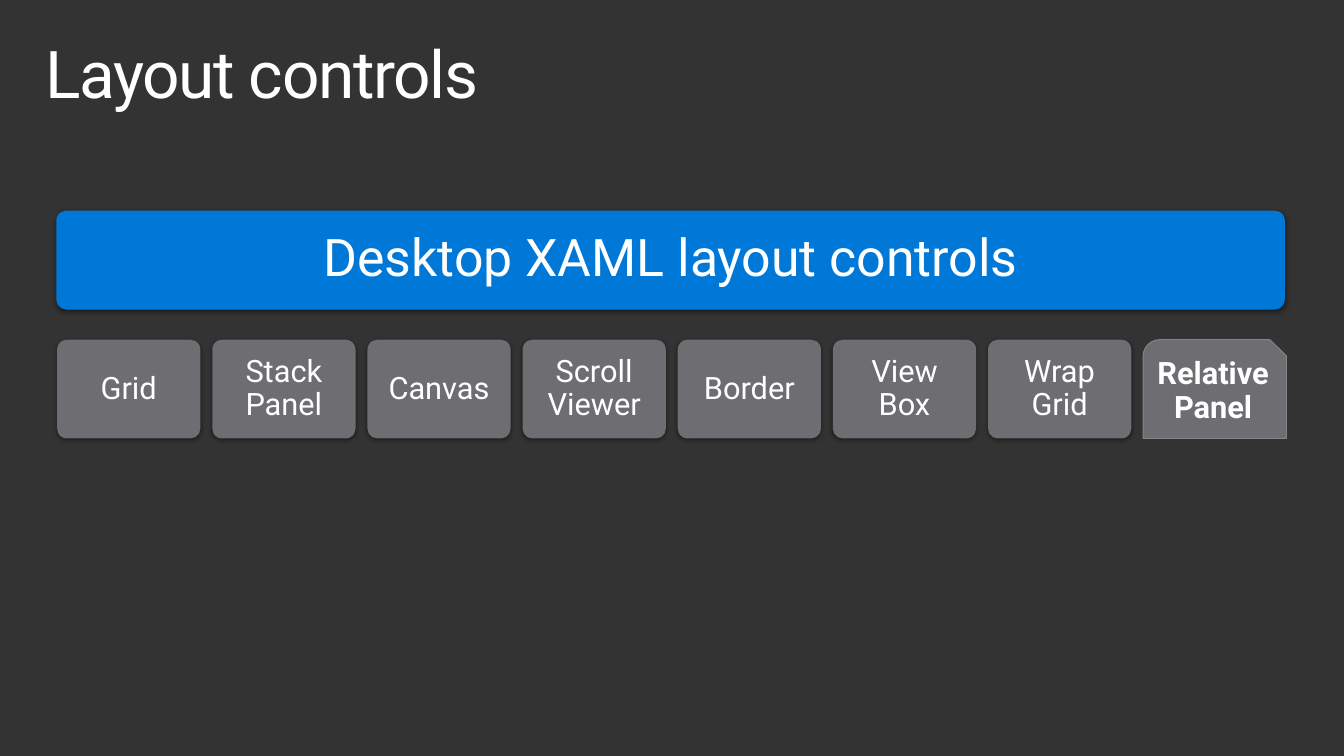
from dataclasses import dataclass

from lxml.etree import SubElement
from pptx import Presentation
from pptx.dml.color import RGBColor
from pptx.enum.shapes import MSO_SHAPE
from pptx.enum.text import MSO_ANCHOR, MSO_AUTO_SIZE, PP_ALIGN
from pptx.oxml.ns import qn
from pptx.util import Cm, Pt


@dataclass(frozen=True)
class Theme:
    font: str = "Roboto"
    back: str = "333333"
    text: str = "FFFFFF"
    blue: str = "0078D7"
    grey: str = "6E6D71"
    edge: str = "858585"
    shade: str = "000000"
    head: int = 47
    large: int = 37
    small: int = 22


class Deck:
    """Builds one slide from titles and labelled boxes in a shared theme."""

    def __init__(self, theme):
        self.theme = theme
        self.file = Presentation()
        self.file.slide_width, self.file.slide_height = Cm(33.87), Cm(19.05)
        self.slide = self.file.slides.add_slide(self.file.slide_layouts[5])
        fill = self.slide.background.fill
        fill.solid()
        fill.fore_color.rgb = RGBColor.from_string(theme.back)

    def label(self, shape, text, size, align, anchor, pad, bold=False):
        frame = shape.text_frame
        frame.text = text
        frame.word_wrap = True
        frame.auto_size = MSO_AUTO_SIZE.NONE
        frame.vertical_anchor = anchor
        frame.margin_left = frame.margin_right = Cm(pad[0])
        frame.margin_top = frame.margin_bottom = Cm(pad[1])
        para = frame.paragraphs[0]
        para.alignment = align
        para.line_spacing = 0.9
        para.space_before = Pt(0)
        font = para.font
        font.name, font.size, font.bold = self.theme.font, Pt(size), bold
        font.color.rgb = RGBColor.from_string(self.theme.text)
        return para

    def title(self, text, left, top, width, height):
        shape = self.slide.shapes.title
        shape.left, shape.top = Cm(left), Cm(top)
        shape.width, shape.height = Cm(width), Cm(height)
        para = self.label(shape, text, self.theme.head, PP_ALIGN.LEFT,
                          MSO_ANCHOR.TOP, (0.41, 0.25))
        para.runs[0].font._element.set("spc", "-100")

    def box(self, kind, text, left, top, width, height, fill, size, pad, bold=False):
        shape = self.slide.shapes.add_shape(
            kind, Cm(left), Cm(top), Cm(width), Cm(height))
        shape.shadow.inherit = False
        shape.fill.solid()
        shape.fill.fore_color.rgb = RGBColor.from_string(fill)
        shape.line.fill.background()
        self.label(shape, text, size, PP_ALIGN.CENTER, MSO_ANCHOR.MIDDLE,
                   (pad, pad), bold)
        return shape

    def card(self, *args):
        shape = self.box(MSO_SHAPE.ROUNDED_RECTANGLE, *args)
        shape.adjustments[0] = 0.1
        effects = shape._element.spPr.find(qn("a:effectLst"))
        shadow = SubElement(effects, qn("a:outerShdw"), blurRad=str(Pt(3.5)),
                            dist=str(Pt(1.1)), dir="5400000", rotWithShape="0")
        color = SubElement(shadow, qn("a:srgbClr"), val=self.theme.shade)
        SubElement(color, qn("a:alpha"), val="45000")

    def snip(self, *args):
        shape = self.box(MSO_SHAPE.SNIP_ROUND_RECTANGLE, *args, bold=True)
        shape.line.color.rgb = RGBColor.from_string(self.theme.edge)
        shape.line.width = Pt(0.75)


def main():
    theme = Theme()
    deck = Deck(theme)
    deck.title("Layout controls", 0.74, 0.81, 32.39, 2.49)
    deck.card("Desktop XAML layout controls", 1.42, 5.31, 30.96, 2.49,
              theme.blue, theme.large, 0.38)
    panels = ["Grid", "Stack Panel", "Canvas", "Scroll Viewer", "Border",
              "View Box", "Wrap Grid", "Relative Panel"]
    left, step = 1.44, 3.91
    for index, name in enumerate(panels):
        draw = deck.snip if name == panels[-1] else deck.card
        draw(name, left + index * step, 8.56, 3.61, 2.49,
             theme.grey, theme.small, 0.23)
    deck.file.save("out.pptx")


if __name__ == "__main__":
    main()
